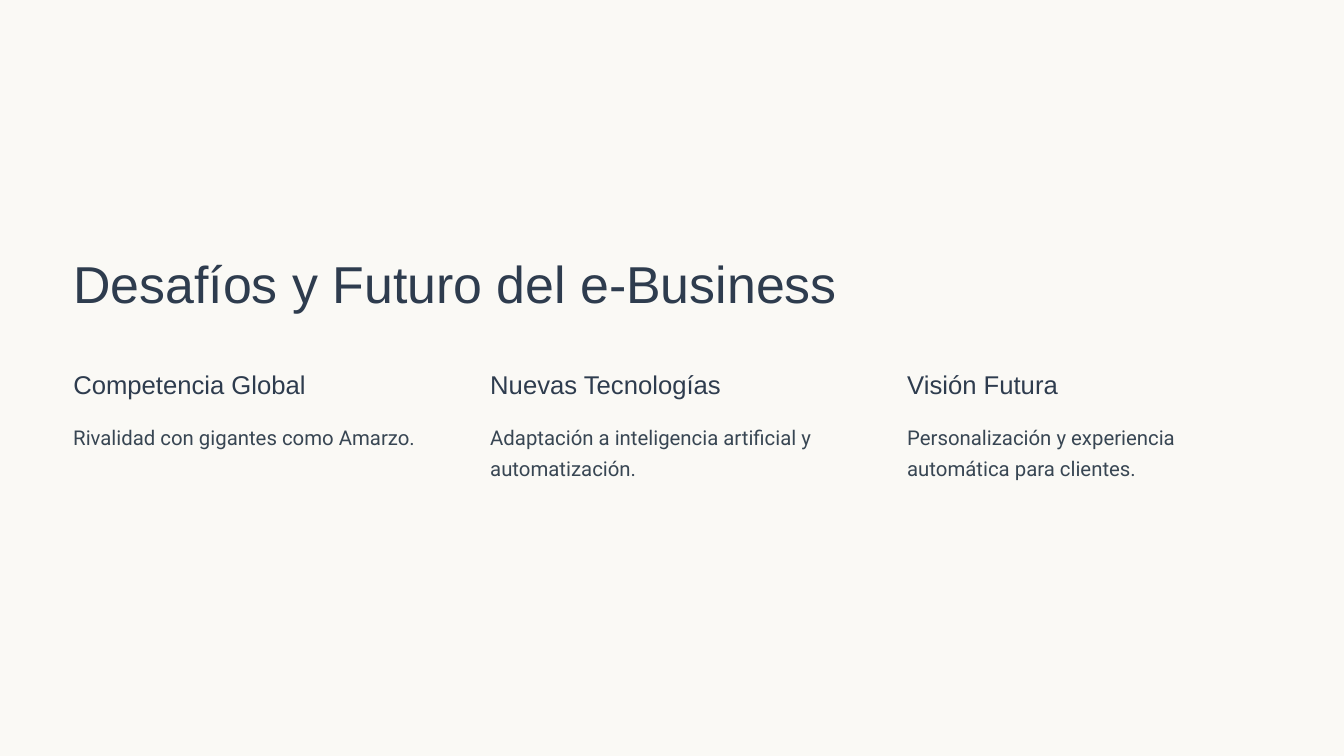
import pptx
import pptx.util
import pptx.dml.color
import pptx.enum.text
from dataclasses import dataclass
from pptx.util import Inches


@dataclass(frozen=True)
class Theme:
    background: str = "FAF9F5"
    heading: str = "2E3C4E"
    body: str = "384653"
    heading_font: str = "Arial"
    body_font: str = "Roboto"
    title_size: float = 55.6
    subtitle_size: float = 27.5
    body_size: float = 21.8


THEME = Theme()
TITLE = "Desafíos y Futuro del e-Business"
CHALLENGES = [
    ("Competencia Global", "Rivalidad con gigantes como Amarzo."),
    ("Nuevas Tecnologías", "Adaptación a inteligencia artificial y automatización."),
    ("Visión Futura", "Personalización y experiencia automática para clientes."),
]


def rgb(value):
    return pptx.dml.color.RGBColor.from_string(value)


def write_text(sp, text, *, size, leading, font, color):
    tf = sp.text_frame
    tf.margin_left = tf.margin_right = tf.margin_top = tf.margin_bottom = 0
    tf.word_wrap = True
    tf.auto_size = pptx.enum.text.MSO_AUTO_SIZE.NONE
    tf.vertical_anchor = pptx.enum.text.MSO_ANCHOR.TOP
    p = tf.paragraphs[0]
    p.alignment = pptx.enum.text.PP_ALIGN.LEFT
    p.line_spacing = pptx.util.Pt(leading)
    r = p.add_run()
    r.text = text
    r.font.size = pptx.util.Pt(size)
    r.font.name = font
    r.font.color.rgb = rgb(color)


def add_backdrop(slide, left, top, width, height):
    right, bottom = left + width, top + height
    builder = slide.shapes.build_freeform(left, top)
    builder.add_line_segments([(right, top), (right, bottom), (left, bottom)], close=True)
    sp = builder.convert_to_shape()
    sp.shadow.inherit = False
    sp.fill.solid()
    sp.fill.fore_color.rgb = rgb(THEME.background)
    sp.line.fill.background()
    # Behind the title placeholder, which the layout put in first
    slide.shapes.title.element.addprevious(sp.element)


def add_title(slide, text, left, top, width, height):
    sp = slide.shapes.title
    sp.left, sp.top, sp.width, sp.height = left, top, width, height
    write_text(sp, text, size=THEME.title_size, leading=69.4,
               font=THEME.heading_font, color=THEME.heading)


def add_challenge(slide, heading, detail, left, top, width, height):
    """Place a heading with its description below it."""
    detail_offset = Inches(0.76)
    sp = slide.shapes.add_textbox(left, top, Inches(3.88), Inches(0.52))
    write_text(sp, heading, size=THEME.subtitle_size, leading=34.4,
               font=THEME.heading_font, color=THEME.heading)
    sp = slide.shapes.add_textbox(left, top + detail_offset, width, height - detail_offset)
    write_text(sp, detail, size=THEME.body_size, leading=33.1,
               font=THEME.body_font, color=THEME.body)


def add_challenge_columns(slide, challenges, left, top, width, height):
    column_width = Inches(5.44)
    step = (width - column_width) // (len(challenges) - 1)
    for i, (heading, detail) in enumerate(challenges):
        add_challenge(slide, heading, detail, left + i * step, top, column_width, height)


def main():
    prs = pptx.Presentation()
    prs.slide_width, prs.slide_height = Inches(20), Inches(11.25)
    slide = prs.slides.add_slide(prs.slide_layouts.get_by_name("Title Only"))

    left = Inches(1.09)
    add_backdrop(slide, 0, 0, prs.slide_width, prs.slide_height)
    add_title(slide, TITLE, left, Inches(3.7), Inches(11.48), Inches(1.02))
    add_challenge_columns(slide, CHALLENGES, left, Inches(5.47), Inches(17.85), Inches(1.75))
    prs.save("out.pptx")


if __name__ == "__main__":
    main()
